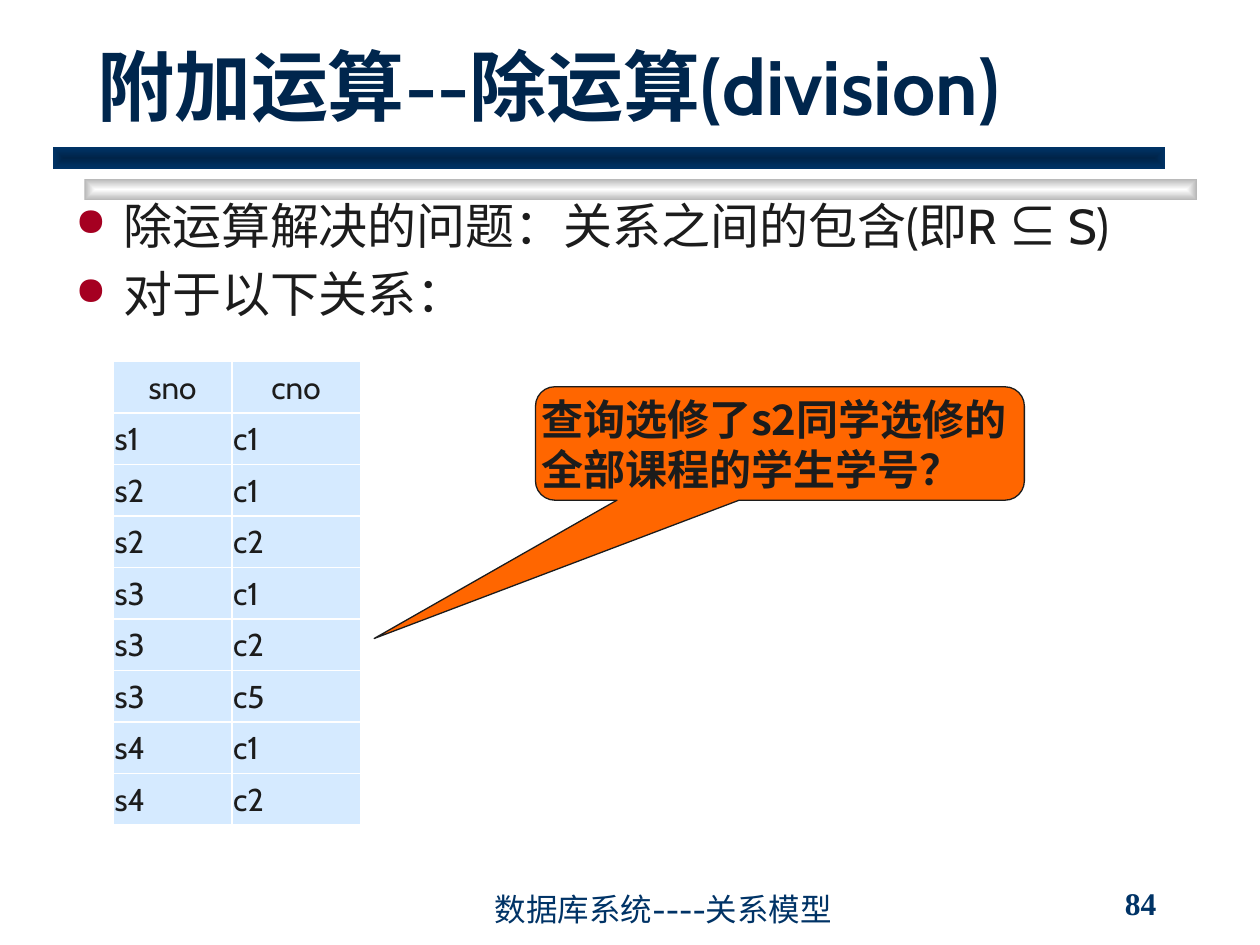
from pptx import Presentation
from pptx.dml.color import RGBColor
from pptx.enum.shapes import MSO_SHAPE
from pptx.enum.text import MSO_ANCHOR, MSO_AUTO_SIZE, PP_ALIGN
from pptx.oxml import parse_xml
from pptx.oxml.ns import nsdecls, qn
from pptx.util import Inches, Pt

RECT, CALLOUT = MSO_SHAPE.RECTANGLE, MSO_SHAPE.ROUNDED_RECTANGULAR_CALLOUT
TOP, MIDDLE, BOTTOM = MSO_ANCHOR.TOP, MSO_ANCHOR.MIDDLE, MSO_ANCHOR.BOTTOM
LEFT, CENTER, JUSTIFY = PP_ALIGN.LEFT, PP_ALIGN.CENTER, PP_ALIGN.JUSTIFY
FIXED = MSO_AUTO_SIZE.NONE

NAVY = RGBColor(0x00, 0x26, 0x4D)
DEEP = RGBColor(0x00, 0x24, 0x49)
BLUE = RGBColor(0x00, 0x33, 0x66)
INK = RGBColor(0x1C, 0x1C, 0x1C)
WHITE = RGBColor(0xFF, 0xFF, 0xFF)
GRAY = RGBColor(0xB6, 0xB6, 0xB6)
PALE = RGBColor(0xD5, 0xEA, 0xFF)
ORANGE = RGBColor(0xFF, 0x66, 0x00)
RED = RGBColor(0xA5, 0x00, 0x21)

SANS, CJK, SERIF = "Cabin", "Noto Sans CJK JP", "Times New Roman"

TITLE = "附加运算--除运算(division)"
POINTS = [
    [("除运算解决的问题：关系之间的包含(即R ", SANS), ("⊆ ", CJK), ("S)", SANS)],
    [("对于以下关系：", SANS)],
]
ROWS = [
    ("sno", "cno"),
    ("s1", "c1"),
    ("s2", "c1"), ("s2", "c2"),
    ("s3", "c1"), ("s3", "c2"), ("s3", "c5"),
    ("s4", "c1"), ("s4", "c2"),
]
WIDTHS = [0.94, 1.02]
ASK = "查询选修了s2同学选修的全部课程的学生学号？"
FOOTER, PAGE = "数据库系统----关系模型", "84"
# left, top, centre colour, edge colour
BARS = [(0.67, 1.42, WHITE, GRAY), (0.42, 1.17, DEEP, BLUE)]


def box(*sides):
    return [Inches(side) for side in sides]


def write(para, text, size, color, font=SANS, bold=False):
    run = para.add_run()
    run.text = text
    run.font.size, run.font.name, run.font.bold = Pt(size), font, bold
    run.font.color.rgb = color
    run.font.color  # keeps the fill ahead of the East Asian face
    face = parse_xml(f'<a:ea {nsdecls("a")} typeface="{CJK}"/>')
    run.font.fill  # fill is already present
    run._r.rPr.find(qn("a:latin")).addnext(face)


def add_text(slide, sides, anchor):
    frame = slide.shapes.add_textbox(*box(*sides)).text_frame
    frame.word_wrap, frame.vertical_anchor = True, anchor
    return frame


def add_bar(slide, left, top, inner, outer):
    """Bar shaded from its centre out to its edges."""
    bar = slide.shapes.add_shape(RECT, *box(left, top, 8.83, 0.17))
    bar.shadow.inherit = False
    bar.line.fill.background()
    bar.fill.gradient()
    for stop, color, place in zip(bar.fill.gradient_stops, (inner, outer), (0, 1)):
        stop.color.rgb, stop.position = color, place
    lin = bar._element.spPr.find(qn("a:gradFill")).find(qn("a:lin"))
    lin.getparent().replace(lin, parse_xml(
        f'<a:path {nsdecls("a")} path="shape">'
        '<a:fillToRect l="50000" t="50000" r="50000" b="50000"/></a:path>'))


def add_bullet(para):
    props = para._p.get_or_add_pPr()
    props.set("marL", str(Inches(0.38)))
    props.set("indent", str(-Inches(0.38)))
    for item in (f'<a:buClr {nsdecls("a")}><a:srgbClr val="{RED}"/></a:buClr>',
                 f'<a:buSzPct {nsdecls("a")} val="80000"/>',
                 f'<a:buChar {nsdecls("a")} char="●"/>'):
        props.append(parse_xml(item))


def add_borders(cell):
    props = cell._tc.get_or_add_tcPr()
    for i, side in enumerate(("lnL", "lnR", "lnT", "lnB")):
        props.insert(i, parse_xml(
            f'<a:{side} {nsdecls("a")} w="{Pt(1)}"><a:solidFill>'
            f'<a:srgbClr val="{WHITE}"/></a:solidFill></a:{side}>'))


def add_grid(slide):
    sides = box(0.9, 2.87, sum(WIDTHS), 3.68)
    grid = slide.shapes.add_table(len(ROWS), len(WIDTHS), *sides).table
    grid.first_row = grid.horz_banding = False
    for col, width in zip(grid.columns, WIDTHS):
        col.width = Inches(width)
    for r, row in enumerate(ROWS):
        for c, text in enumerate(row):
            cell = grid.cell(r, c)
            cell.fill.solid()
            cell.fill.fore_color.rgb = PALE
            cell.vertical_anchor = MIDDLE
            cell.margin_left = cell.margin_right = cell.margin_top = Inches(0.01)
            cell.margin_bottom = 0
            add_borders(cell)
            para = cell.text_frame.paragraphs[0]
            para.alignment = LEFT if r else CENTER
            write(para, text, 18, INK)


def add_callout(slide):
    ask = slide.shapes.add_shape(CALLOUT, *box(4.25, 3.07, 3.88, 0.9))
    for i, value in enumerate((-0.83, 1.72, 0.17)):
        ask.adjustments[i] = value
    ask.shadow.inherit = False
    ask.fill.solid()
    ask.fill.fore_color.rgb = ORANGE
    ask.line.color.rgb, ask.line.width = INK, Pt(0.75)
    frame = ask.text_frame
    frame.word_wrap, frame.vertical_anchor = True, MIDDLE
    frame.margin_left = frame.margin_right = 0
    frame.margin_top = frame.margin_bottom = 0
    para = frame.paragraphs[0]
    para.alignment = LEFT
    write(para, ASK, 24, INK, CJK, True)


def main():
    deck = Presentation()
    deck.slide_width, deck.slide_height = box(10, 7.5)
    slide = deck.slides.add_slide(deck.slide_layouts[5])
    for bar in BARS:
        add_bar(slide, *bar)

    title = slide.shapes.title
    title.left, title.top, title.width, title.height = box(0.67, 0.42, 8.5, 0.67)
    frame = title.text_frame
    frame.auto_size, frame.vertical_anchor = FIXED, BOTTOM
    para = frame.paragraphs[0]
    para.alignment = LEFT
    write(para, TITLE, 44, NAVY, bold=True)

    frame = add_text(slide, (0.5, 1.5, 9.17, 1.31), TOP)
    for i, point in enumerate(POINTS):
        para = frame.add_paragraph() if i else frame.paragraphs[0]
        add_bullet(para)
        para.alignment = JUSTIFY
        if i:
            para.space_before = Pt(5.6)
        for text, font in point:
            write(para, text, 28, INK, font)

    frame = add_text(slide, (3.83, 7.08, 4.08, 0.33), BOTTOM)
    write(frame.paragraphs[0], FOOTER, 18, BLUE)
    add_grid(slide)
    add_callout(slide)
    frame = add_text(slide, (8.83, 7, 1.08, 0.33), MIDDLE)
    write(frame.paragraphs[0], PAGE, 18, BLUE, SERIF, True)
    deck.save("out.pptx")


if __name__ == "__main__":
    main()
